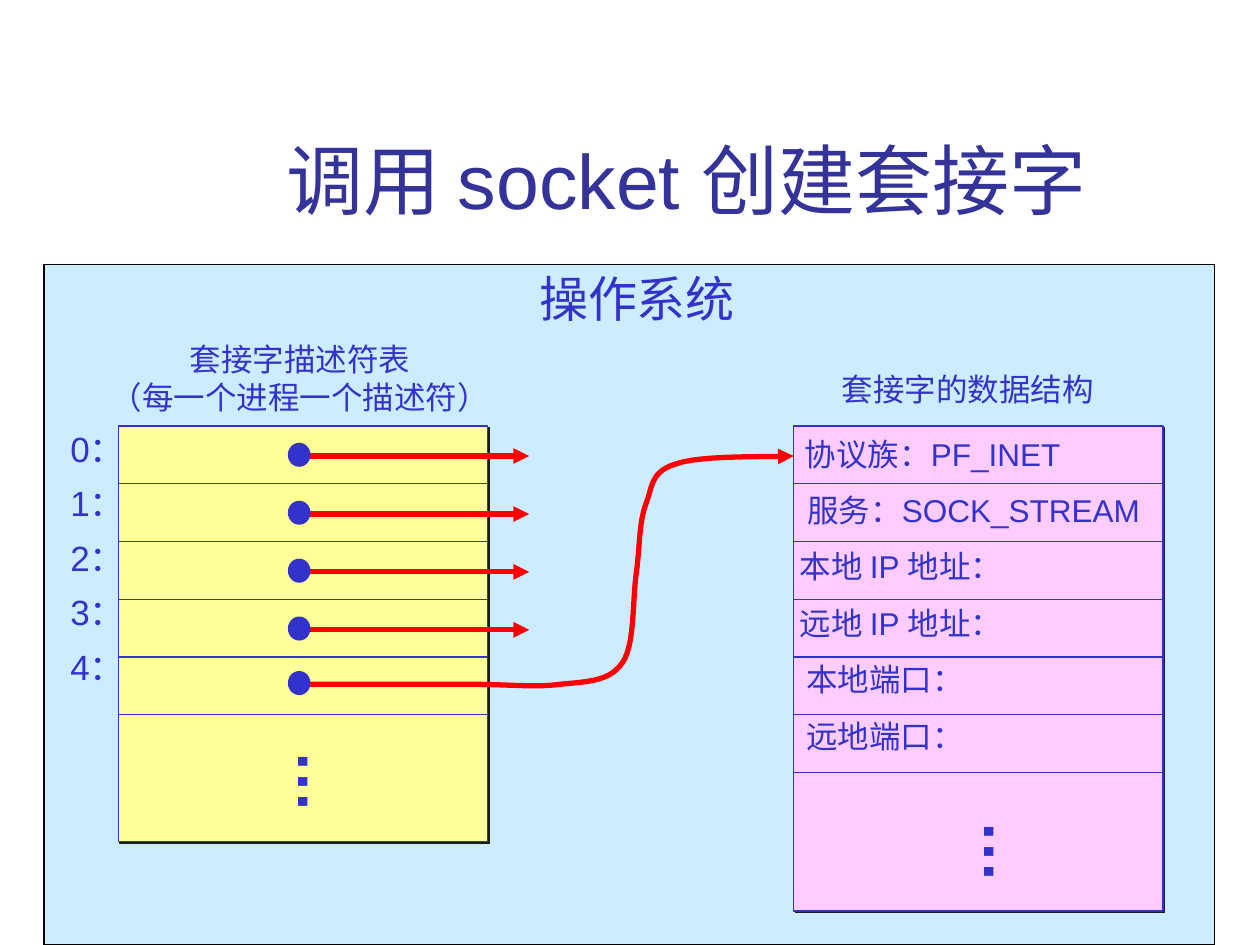
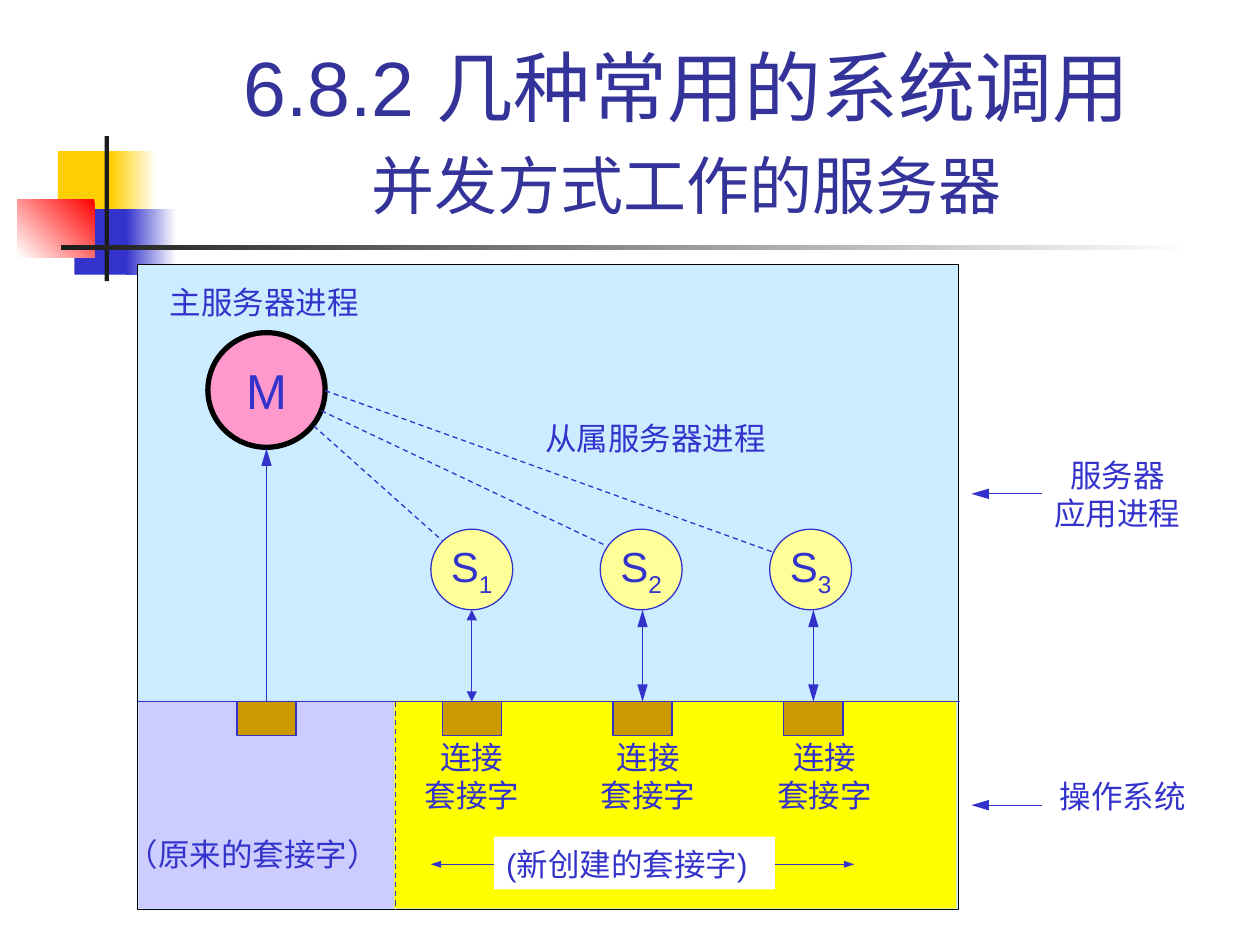
import lxml.etree
import pptx
import pptx.dml.color
import pptx.enum.dml
import pptx.enum.shapes
import pptx.enum.text
import pptx.oxml.ns
import pptx.util

Pt = pptx.util.Pt
qn = pptx.oxml.ns.qn
SHAPES = pptx.enum.shapes.MSO_SHAPE
ALIGN = pptx.enum.text.PP_ALIGN
ANCHOR = pptx.enum.text.MSO_ANCHOR
FONT = "Arial"
COLORS = {
    "title": "333399", "ink": "3333CC", "panel": "CCECFF", "black": "000000",
    "white": "FFFFFF", "descriptor": "FFFF99", "structure": "FFCCFF",
    "pointer": "FF0000", "shadow": "1C1C1C", "gold": "FFCF01",
    "master": "FF99CC", "original": "CCCCFF", "created": "FFFF00",
    "socket": "CC9900",
}
ROW_HEIGHT = 33
POINTER_STEP = 33.1


def rgb(name):
    return pptx.dml.color.RGBColor.from_string(COLORS[name])


def add_run(paragraph, text, size, color="ink", bold=False):
    run = paragraph.add_run()
    run.text = text
    run.font.name = FONT
    run.font.size = Pt(size)
    run.font.bold = bold
    run.font.color.rgb = rgb(color)
    return run


def write(frame, lines, size=18, align=ALIGN.CENTER, spacing=None, bold=False):
    frame.word_wrap = False
    for index, line in enumerate(lines):
        paragraph = frame.paragraphs[0] if index == 0 else frame.add_paragraph()
        paragraph.alignment = align
        if spacing:
            paragraph.line_spacing = spacing
        add_run(paragraph, line, size, bold=bold)


def add_label(slide, box, lines, rotation=0, **style):
    label = slide.shapes.add_textbox(*map(Pt, box))
    label.rotation = rotation
    write(label.text_frame, lines, **style)
    label.text_frame.auto_size = pptx.enum.text.MSO_AUTO_SIZE.SHAPE_TO_FIT_TEXT


def add_title(slide, lines):
    frame = slide.shapes.add_textbox(Pt(90.7), Pt(16.6), Pt(613.4), Pt(115.2)).text_frame
    frame.word_wrap = True
    frame.vertical_anchor = ANCHOR.BOTTOM
    paragraph = frame.paragraphs[0]
    paragraph.alignment = ALIGN.CENTER
    for index, line in enumerate(lines):
        if index:
            paragraph.add_line_break()
        for text, size in line:
            add_run(paragraph, text, size, "title")


def add_block(slide, box, fill, line="ink", width=0.75, kind=SHAPES.RECTANGLE):
    block = slide.shapes.add_shape(kind, *map(Pt, box))
    block.shadow.inherit = False
    block.fill.solid()
    block.fill.fore_color.rgb = rgb(fill)
    if line:
        block.line.color.rgb = rgb(line)
        block.line.width = Pt(width)
    else:
        block.line.fill.background()
    return block


def add_fade(slide, box, first, last, angle=180):
    block = add_block(slide, box, first, line=None)
    block.fill.gradient()
    block.fill.gradient_angle = 360 - angle
    for stop, position, color in zip(block.fill.gradient_stops, (0, 1), (first, last)):
        stop.position = position
        stop.color.rgb = rgb(color)


def add_circle(slide, box, fill, letter, size, line="ink", width=0.75):
    circle = add_block(slide, box, fill, line, width, SHAPES.OVAL)
    circle.text_frame.vertical_anchor = ANCHOR.MIDDLE
    write(circle.text_frame, [letter], size)
    return circle


def add_arrowheads(shape, ends, width="med", length="med"):
    outline = shape.element.spPr.get_or_add_ln()
    for end in ends:
        lxml.etree.SubElement(outline, qn(f"a:{end}"), type="triangle", w=width, len=length)


def add_line(slide, start, end, color="ink", width=0.75, dashed=False):
    line = slide.shapes.add_connector(
        pptx.enum.shapes.MSO_CONNECTOR.STRAIGHT, *map(Pt, (*start, *end)))
    line.line.color.rgb = rgb(color)
    line.line.width = Pt(width)
    if dashed:
        line.line.dash_style = pptx.enum.dml.MSO_LINE.DASH
    lxml.etree.SubElement(line.element.spPr, qn("a:effectLst"))
    return line


def add_record(slide, left, height, fill, dividers):
    top, width = 243.4, 211
    record = add_block(slide, (left, top, width, height), fill)
    effects = record.element.spPr.find(qn("a:effectLst"))
    shadow = lxml.etree.SubElement(
        effects, qn("a:outerShdw"), blurRad="0", dist=str(Pt(1.4)),
        dir="2700000", algn="ctr", rotWithShape="0")
    lxml.etree.SubElement(shadow, qn("a:srgbClr"), val=COLORS["shadow"])
    for row in range(1, dividers + 1):
        y = top + row * ROW_HEIGHT
        add_line(slide, (left, y), (left + width, y))


def bezier(start, control1, control2, end, steps=12):
    for step in range(1, steps + 1):
        t = step / steps
        weights = ((1 - t) ** 3, 3 * t * (1 - t) ** 2, 3 * t * t * (1 - t), t ** 3)
        yield tuple(sum(w * p[axis] for w, p in zip(weights, (start, control1, control2, end)))
                    for axis in (0, 1))


def add_pointer_curve(slide, start, bend, curves):
    points = [bend]
    for curve in curves:
        points.extend(bezier(points[-1], *curve))
    builder = slide.shapes.build_freeform(*map(Pt, start))
    builder.add_line_segments([tuple(map(Pt, point)) for point in points], close=False)
    pointer = builder.convert_to_shape()
    pointer.shadow.inherit = False
    pointer.fill.background()
    pointer.line.color.rgb = rgb("pointer")
    pointer.line.width = Pt(3)
    add_arrowheads(pointer, ["tailEnd"])


def add_descriptor_dot(slide, top):
    add_block(slide, (164.9, top, 12.2, 13), "ink", kind=SHAPES.OVAL)


def build_descriptor_slide(slide):
    add_block(slide, (25.2, 151.2, 668.9, 388.8), "panel", "black")
    add_record(slide, 67.7, 237.6, "descriptor", 5)
    add_record(slide, 453.6, 277.2, "structure", 6)
    add_label(slide, (56.2, 190.8, 230.4, 50.4), ["套接字描述符表", "（每一个进程一个描述符）"])
    add_label(slide, (33.1, 233.3, 50.4, 163.4), [f"{number}：" for number in range(5)],
              size=20, align=ALIGN.LEFT, spacing=1.3)
    for row in range(4):
        y = 260.6 + row * POINTER_STEP
        pointer = add_line(slide, (169.9, y), (302.4, y), "pointer", 3)
        add_arrowheads(pointer, ["tailEnd"])
        add_descriptor_dot(slide, y - 7.2)
    add_label(slide, (301, 149.8, 126, 41), ["操作系统"], size=28)
    add_label(slide, (473.8, 208.1, 158.4, 28.8), ["套接字的数据结构"])
    fields = [
        (452.9, 164.9, "协议族：PF_INET"),
        (454.3, 208.8, "服务：SOCK_STREAM"),
        (450, 139, "本地 IP 地址："),
        (450, 139, "远地 IP 地址："),
        (453.6, 104.4, "本地端口："),
        (453.6, 104.4, "远地端口："),
    ]
    for row, (left, width, field) in enumerate(fields):
        add_label(slide, (left, 244.8 + row * 32.25, width, 28.8), [field], align=ALIGN.LEFT)
    for left, top in ((159.8, 421.9), (551.5, 461.5)):
        add_label(slide, (left, top, 50.4, 50.4), ["…"], rotation=90, size=36, bold=True)
    add_pointer_curve(slide, (169.9, 391), (266.4, 391), [
        ((291.6, 391), (305.3, 393.1), (320.4, 391)),
        ((335.5, 389.5), (348.5, 389.5), (355.7, 378.7)),
        ((362.9, 368.6), (361.4, 342.7), (363.6, 327.6)),
        ((365.8, 312.5), (365, 298.1), (369.4, 287.3)),
        ((373, 277.2), (372.2, 269.3), (386.6, 265)),
        ((401, 259.9), (439.9, 261.4), (453.6, 260.6)),
    ])
    add_descriptor_dot(slide, 383.8)
    add_title(slide, [[("调用 socket 创建套接字 ", 44)]])


def add_decoration(slide):
    add_block(slide, (33.1, 86.4, 34.6, 37.4), "gold", None)
    add_fade(slide, (63.4, 86.4, 25.9, 37.4), "white", "gold")
    add_block(slide, (42.5, 119.5, 33.1, 37.4), "ink", None)
    add_fade(slide, (72, 119.5, 28.8, 37.4), "white", "ink")
    add_fade(slide, (10.1, 113.8, 43.9, 33.1), "pointer", "white", 135)
    add_block(slide, (59.8, 77.8, 2.4, 82.8), "shadow", None)
    add_fade(slide, (34.6, 140.2, 648, 2.4), "white", "shadow")


def add_socket(slide, left):
    return add_block(slide, (left, 401, 33.8, 19.4), "socket")


def add_socket_link(slide, socket, x, top, ends, length="lg"):
    link = add_line(slide, (x, 401), (x, top))
    link.begin_connect(socket, 0)
    add_arrowheads(link, ends, length=length)


def build_server_slide(slide):
    add_decoration(slide)
    add_title(slide, [[("6.8.2 几种常用的系统调用 ", 44)],
                      [("并发方式工作的服务器", 36), (" ", 44)]])
    add_block(slide, (78.5, 151.2, 469.4, 368.6), "panel", "black")
    add_block(slide, (79.2, 400.3, 146.2, 118.8), "original", None)
    add_block(slide, (225.4, 400.3, 321.1, 118.8), "created", None)
    add_circle(slide, (118.8, 190.1, 67, 65.5), "master", "M", 28, "black", 3)
    add_line(slide, (78.5, 401), (548.6, 401))
    master_socket = add_socket(slide, 135.4)
    add_socket_link(slide, master_socket, 152.3, 256.3, ["tailEnd"])
    branches = [
        ((179.3, 243.4), (252.7, 308.9)),
        ((183.6, 234.7), (346.3, 311.8)),
        ((185.8, 223.2), (441.4, 315.4)),
    ]
    for index, (start, end) in enumerate(branches):
        slave = add_circle(slide, (246.2 + index * 96.8, 302.4, 46.8, 46.1),
                           "descriptor", "S", 24)
        subscript = add_run(slave.text_frame.paragraphs[0], str(index + 1), 24)
        subscript.font._element.set("baseline", "-25000")
        left = 252.7 + index * 97.6
        add_socket_link(slide, add_socket(slide, left), left + 16.9, 348.5,
                        ["headEnd", "tailEnd"], "lg" if index else "med")
        add_label(slide, (235.4 + index * 100.8, 418.3, 68.4, 50.4), ["连接", "套接字"])
        add_line(slide, start, end, dashed=True)
    for y in (282.2, 460.1):
        add_arrowheads(add_line(slide, (595.4, y), (555.1, y)), ["tailEnd"], length="lg")
    add_label(slide, (595.4, 257, 86.4, 50.4), ["服务器", "应用进程"])
    add_label(slide, (598.3, 440.6, 86.4, 28.8), ["操作系统"])
    for left, top, width, name in (
        (304.6, 234.7, 140.4, "从属服务器进程"),
        (90, 157, 122.4, "主服务器进程"),
        (65.5, 472.3, 158.4, "（原来的套接字）"),
    ):
        add_label(slide, (left, top, width, 30.2), [name], align=ALIGN.LEFT, spacing=1.05)
    span = add_line(slide, (246.2, 493.9), (488.2, 493.9))
    add_arrowheads(span, ["headEnd", "tailEnd"], width="sm")
    created_label = add_block(slide, (282.2, 478.1, 160.6, 30.2), "white", None)
    write(created_label.text_frame, ["(新创建的套接字)"], align=ALIGN.LEFT, spacing=1.05)
    add_line(slide, (226.1, 401), (226.1, 519.8), dashed=True)


def main():
    deck = pptx.Presentation()
    deck.slide_width, deck.slide_height = Pt(720), Pt(540)
    for build in (build_descriptor_slide, build_server_slide):
        build(deck.slides.add_slide(deck.slide_layouts[6]))
    deck.save("out.pptx")


if __name__ == "__main__":
    main()
